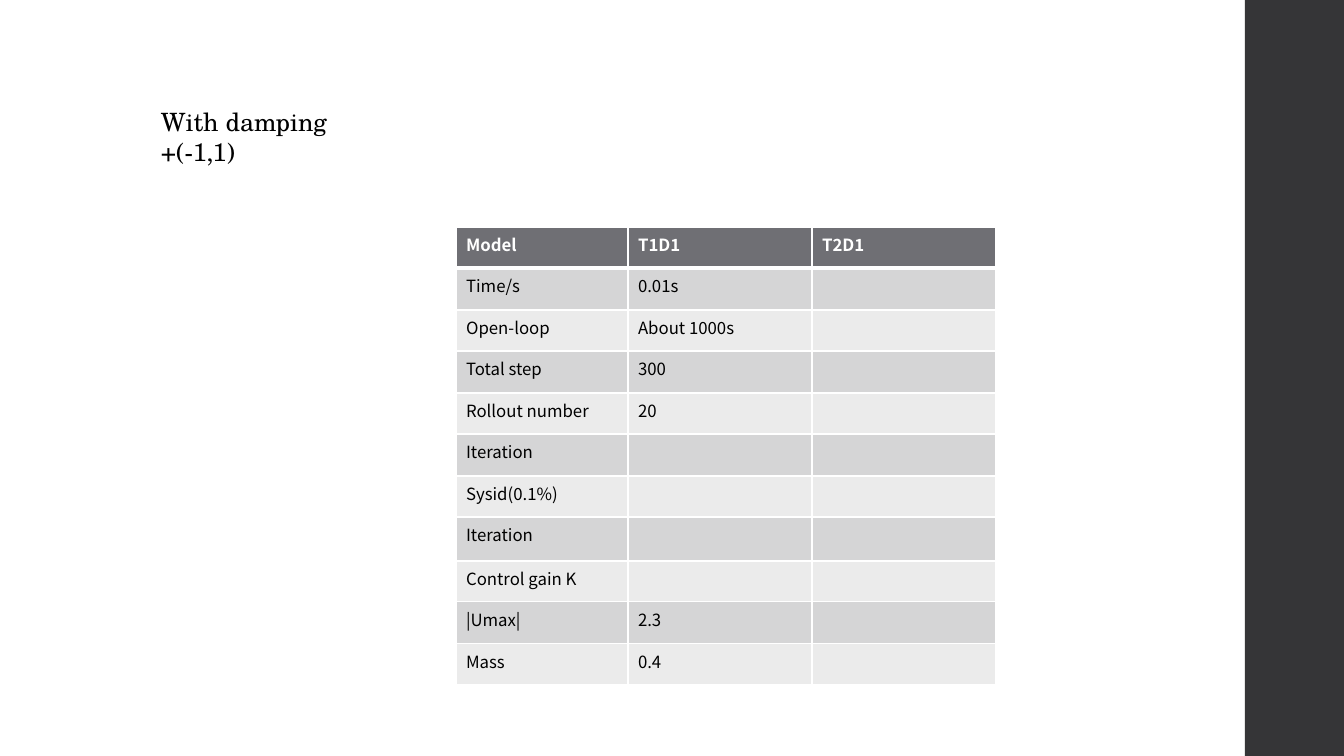
"""Builds the damping model comparison slide."""
from dataclasses import dataclass

import pptx
import pptx.dml.color
import pptx.enum.shapes
import pptx.enum.text
import pptx.oxml
import pptx.oxml.ns
import pptx.util

EMU_PER_PX = 914400 / 100.8
MODEL_ROWS = [
    ("Model", "T1D1", "T2D1"),
    ("Time/s", "0.01s", ""),
    ("Open-loop", "About 1000s", ""),
    ("Total step", "300", ""),
    ("Rollout number", "20", ""),
    ("Iteration", "", ""),
    ("Sysid(0.1%)", "", ""),
    ("Iteration", "", ""),
    ("Control gain K", "", ""),
    ("|Umax|", "2.3", ""),
    ("Mass", "0.4", ""),
]
COLUMN_WIDTHS = (172, 184, 184)
ROW_HEIGHTS = [44 if row == 7 else 41 + row % 2 for row in range(len(MODEL_ROWS))]


@dataclass(frozen=True)
class Theme:
    """Holds the colours, fonts and sizes of the slide."""
    white: str = "FFFFFF"
    black: str = "000000"
    sidebar: str = "353537"
    header: str = "6F6F74"
    bands: tuple = ("EBEBEB", "D5D5D6")
    heading_font: str = "TeX Gyre Schola"
    table_font: str = "Noto Sans CJK SC"
    heading_size: int = 18
    table_size: int = 12
    rule: int = 1
    header_rule: int = 3


THEME = Theme()


def px(length):
    """Turns pixels into EMU."""
    return pptx.util.Emu(round(length * EMU_PER_PX))


def rgb(value):
    """Makes a colour from its hex value."""
    return pptx.dml.color.RGBColor.from_string(value)


def paint(fill, colour):
    """Gives a fill one solid colour."""
    fill.solid()
    fill.fore_color.rgb = rgb(colour)


def write(paragraph, text, colour, **font_values):
    """Adds a formatted run to a paragraph."""
    run = paragraph.add_run()
    run.text = text
    for name, value in font_values.items():
        setattr(run.font, name, value)
    run.font.color.rgb = rgb(colour)


def add_sidebar(slide):
    """Draws the dark band down the right edge."""
    sidebar = slide.shapes.add_shape(
        pptx.enum.shapes.MSO_SHAPE.RECTANGLE, px(1245), px(0), px(99), px(756))
    sidebar.shadow.inherit = False
    paint(sidebar.fill, THEME.sidebar)
    sidebar.line.fill.background()


def add_heading(slide, lines):
    """Writes the heading, one paragraph per line."""
    heading = slide.shapes.add_textbox(px(151), px(101), px(239), px(72)).text_frame
    frame_values = {"word_wrap": True,
                    "auto_size": pptx.enum.text.MSO_AUTO_SIZE.SHAPE_TO_FIT_TEXT}
    for name, value in frame_values.items():
        setattr(heading, name, value)
    for index, line in enumerate(lines):
        paragraph = heading.add_paragraph() if index else heading.paragraphs[0]
        write(paragraph, line, THEME.black, name=THEME.heading_font,
              size=pptx.util.Pt(THEME.heading_size))


def add_borders(cell, widths):
    """Draws white rules on the sides of a cell, widths in points."""
    properties = cell._tc.get_or_add_tcPr()
    for side, width in widths.items():
        properties.append(pptx.oxml.parse_xml(
            f'<a:ln{side} {pptx.oxml.ns.nsdecls("a")} w="{pptx.util.Pt(width)}">'
            f'<a:solidFill><a:srgbClr val="{THEME.white}"/></a:solidFill></a:ln{side}>'))


def fill_cell(cell, row, text):
    """Formats one table cell according to its row."""
    is_header = row == 0
    add_borders(cell, {
        "L": THEME.rule,
        "R": THEME.rule,
        "T": THEME.header_rule if row == 1 else THEME.rule,
        "B": THEME.header_rule if is_header else THEME.rule,
    })
    paint(cell.fill, THEME.header if is_header else THEME.bands[row % 2])
    if text:
        write(cell.text_frame.paragraphs[0], text,
              THEME.white if is_header else THEME.black,
              name=THEME.table_font, size=pptx.util.Pt(THEME.table_size),
              bold=is_header)


def add_model_table(slide):
    """Adds the table of model settings."""
    models = slide.shapes.add_table(
        len(MODEL_ROWS), len(COLUMN_WIDTHS), px(456), px(227),
        px(sum(COLUMN_WIDTHS)), px(sum(ROW_HEIGHTS))).table
    for column, width in zip(models.columns, COLUMN_WIDTHS):
        column.width = px(width)
    for row, (height, values) in enumerate(zip(ROW_HEIGHTS, MODEL_ROWS)):
        models.rows[row].height = px(height)
        for column, text in enumerate(values):
            fill_cell(models.cell(row, column), row, text)


def main():
    """Builds and saves the slide."""
    deck = pptx.Presentation()
    for name, length in {"slide_width": 1344, "slide_height": 756}.items():
        setattr(deck, name, px(length))
    slide = deck.slides.add_slide(deck.slide_layouts[6])
    paint(slide.background.fill, THEME.white)
    add_sidebar(slide)
    add_model_table(slide)
    add_heading(slide, ("With damping", "+(-1,1)"))
    deck.save("out.pptx")


if __name__ == "__main__":
    main()
